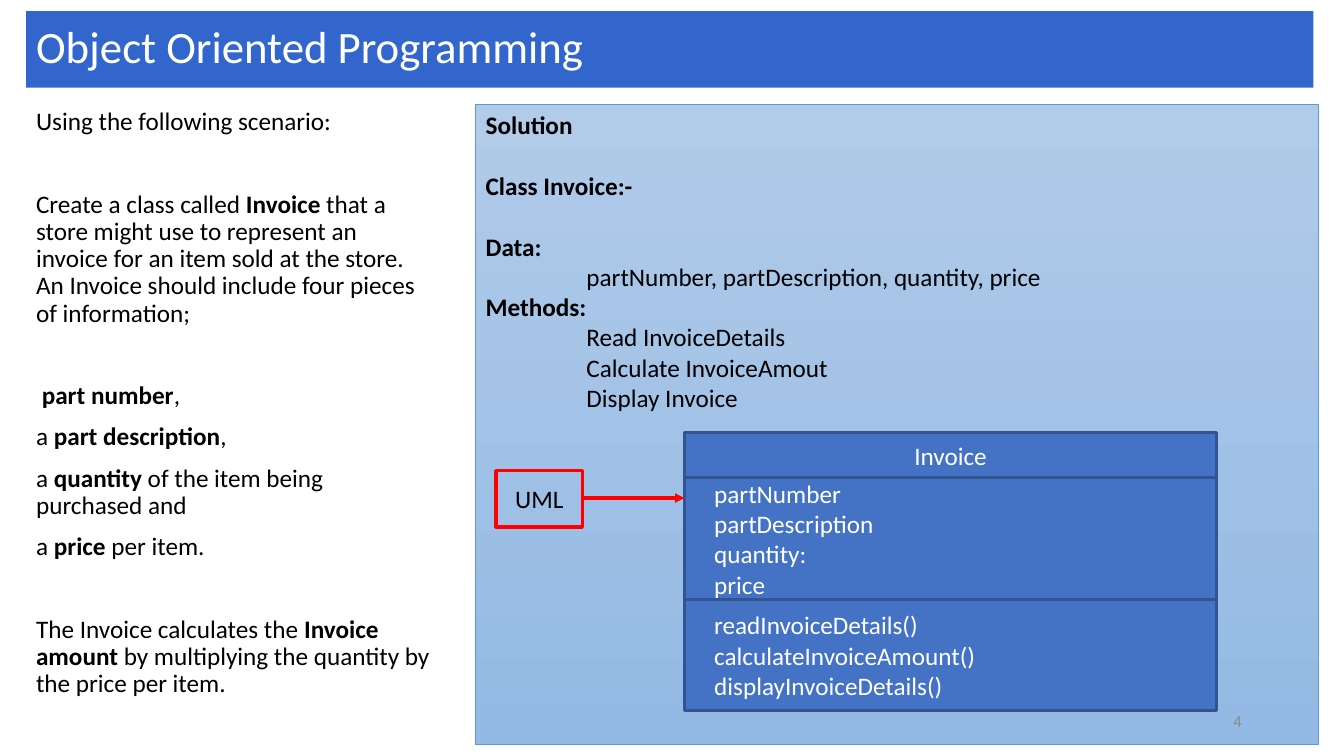
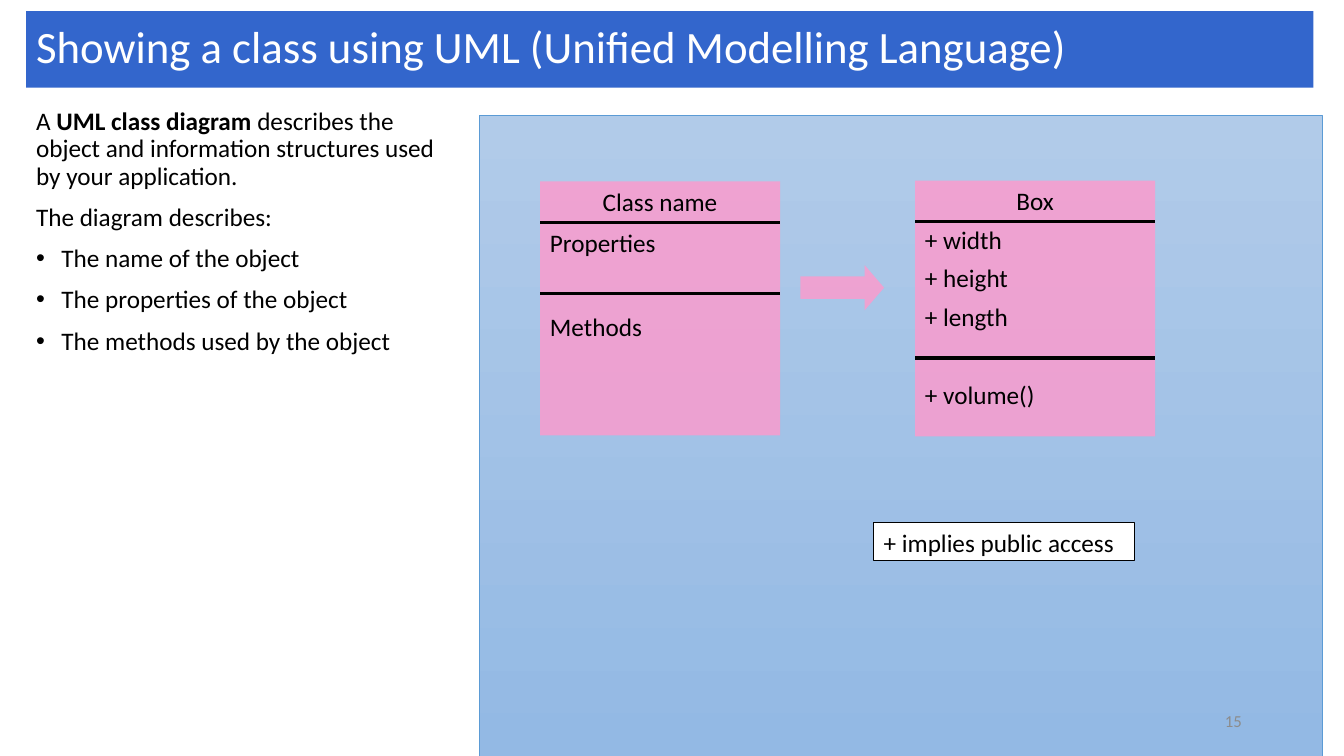
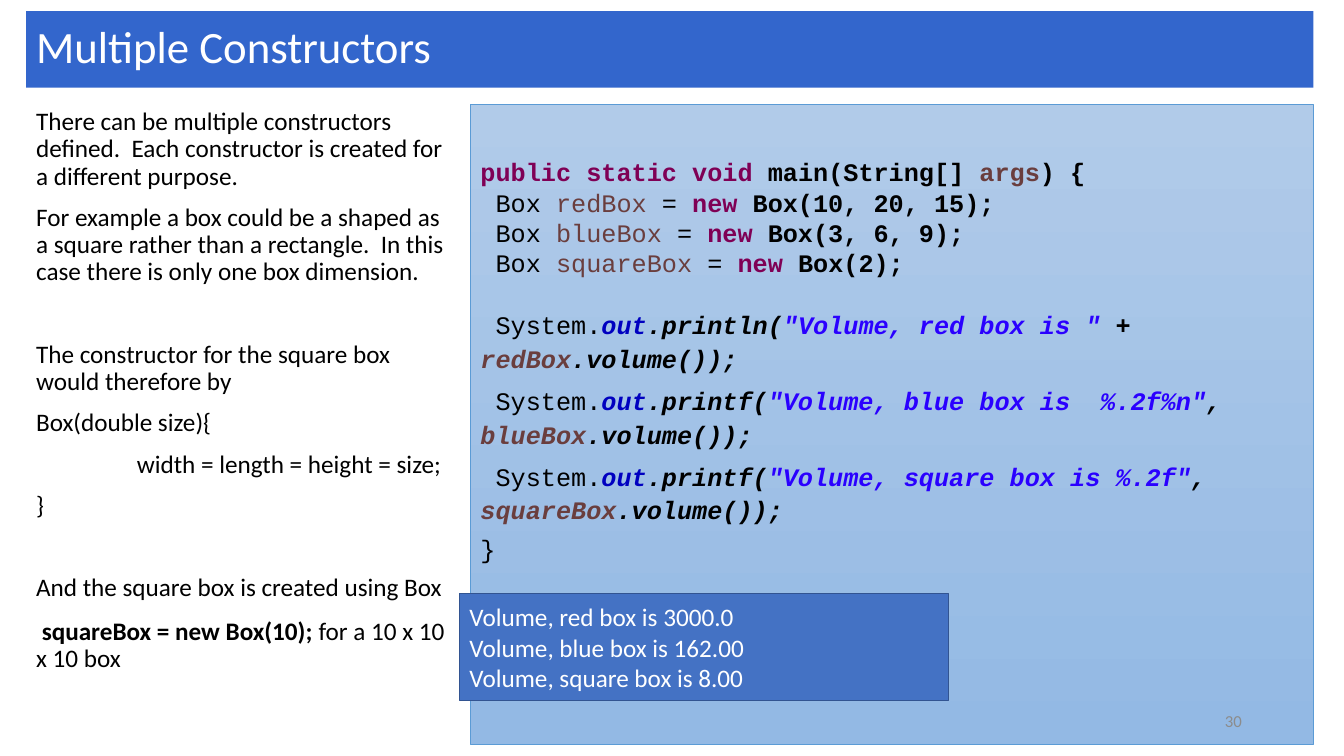
from dataclasses import dataclass, field
from typing import Any, NamedTuple

from lxml import etree
from pptx import Presentation
from pptx.dml.color import RGBColor
from pptx.enum import shapes, text
from pptx.oxml import ns
from pptx.util import Cm, Pt

WHITE = RGBColor(0xFF, 0xFF, 0xFF)
BLACK = RGBColor(0x00, 0x00, 0x00)
GREY = RGBColor(0x8C, 0x8C, 0x8C)
RED = RGBColor(0xFF, 0x00, 0x00)
PINK = RGBColor(0xFF, 0x99, 0xCC)
TITLE_BLUE = RGBColor(0x33, 0x66, 0xCC)
BOX_BLUE = RGBColor(0x44, 0x72, 0xC4)
BOX_EDGE = RGBColor(0x32, 0x54, 0x91)
PANEL_TOP = RGBColor(0xB1, 0xCB, 0xE9)
PANEL_BOTTOM = RGBColor(0x93, 0xB9, 0xE4)
PANEL_EDGE = RGBColor(0x5B, 0x9B, 0xD5)
KEYWORD = RGBColor(0x7F, 0x00, 0x55)
VARIABLE = RGBColor(0x6A, 0x3E, 0x3E)
FIELD = RGBColor(0x00, 0x00, 0xC0)
LITERAL = RGBColor(0x2A, 0x00, 0xFF)

FONT = "Calibri"
CODE_FONT = "Courier New"
LEFT, CENTER, RIGHT = text.PP_ALIGN.LEFT, text.PP_ALIGN.CENTER, text.PP_ALIGN.RIGHT
TOP, MIDDLE = text.MSO_ANCHOR.TOP, text.MSO_ANCHOR.MIDDLE
RECTANGLE = shapes.MSO_SHAPE.RECTANGLE


class Frame(NamedTuple):
    """Position and size in centimetres."""
    left: float
    top: float
    width: float
    height: float


class Run(NamedTuple):
    text: str
    bold: bool = False
    italic: bool = False
    color: RGBColor | None = None
    font: str = FONT


@dataclass(frozen=True)
class Para:
    """Content is runs, or text with bold parts between double asterisks."""
    content: str | list[Run]
    format: dict[str, Any] = field(default_factory=dict)
    indent: float = 0
    bullet: bool = False


class ClassBox(NamedTuple):
    frame: Frame
    dividers: tuple[float, float]
    gap: float
    paragraphs: list[Para]


TITLE = Frame(0.66, 0.28, 32.44, 1.93)
NUMBER = Frame(23.93, 17.65, 7.62, 1.02)


def to_runs(content: str | list[Run]) -> list[Run]:
    if isinstance(content, list):
        return content
    parts = enumerate(content.split("**"))
    return [Run(part, bold=index % 2 == 1) for index, part in parts if part]


def write(shape, paragraphs: list[Para], color: RGBColor = BLACK, size: float = 18,
          anchor=TOP, **common) -> None:
    """Fill the shape with text; common holds formats of every paragraph."""
    frame = shape.text_frame
    frame.word_wrap = True
    frame.vertical_anchor = anchor
    for index, para in enumerate(paragraphs):
        paragraph = frame.add_paragraph() if index else frame.paragraphs[0]
        formats = {"alignment": LEFT, **common, **para.format}
        if index == 0:
            formats.pop("space_before", None)
        for name, value in formats.items():
            setattr(paragraph, name, value)
        properties = paragraph._p.get_or_add_pPr()
        if para.indent:
            properties.set("marL", str(Cm(para.indent)))
        if para.bullet:
            properties.set("indent", str(-Cm(para.indent)))
            etree.SubElement(properties, ns.qn("a:buFont"), typeface="Arial")
            etree.SubElement(properties, ns.qn("a:buChar"), char="•")
        for item in to_runs(para.content):
            run = paragraph.add_run()
            run.text = item.text
            font = {"name": item.font, "size": Pt(size), "bold": item.bold, "italic": item.italic}
            for name, value in font.items():
                setattr(run.font, name, value)
            run.font.color.rgb = item.color or color


def add_box(slide, frame: Frame, fill: RGBColor | None = None, edge: RGBColor | None = None,
            edge_width: float = 1, kind=RECTANGLE):
    shape = slide.shapes.add_shape(kind, *map(Cm, frame))
    shape.shadow.inherit = False
    if fill is None:
        shape.fill.background()
    else:
        shape.fill.solid()
        shape.fill.fore_color.rgb = fill
    if edge is None:
        shape.line.fill.background()
    else:
        shape.line.color.rgb = edge
        shape.line.width = Pt(edge_width)
    return shape


def add_pink(slide, frame: Frame, kind=RECTANGLE):
    shape = add_box(slide, frame, PINK, kind=kind)
    color = shape._element.spPr.find(".//" + ns.qn("a:srgbClr"))
    etree.SubElement(color, ns.qn("a:alpha"), val="80000")
    return shape


def add_line(slide, left: float, right: float, y: float, color: RGBColor = BLACK,
             arrow: bool = False) -> None:
    """Draw a horizontal line."""
    ends = map(Cm, (left, y, right, y))
    line = slide.shapes.add_connector(shapes.MSO_CONNECTOR.STRAIGHT, *ends)
    line.line.color.rgb = color
    line.line.width = Pt(2.25)
    if arrow:
        etree.SubElement(line.line._get_or_add_ln(), ns.qn("a:tailEnd"), type="triangle")
    etree.SubElement(line._element.spPr, ns.qn("a:effectLst"))


def add_base(presentation, title: str, number: int, body: list[Para], body_width: float,
             panel_left: float, panel_top: float = 2.62):
    """Add a slide with title band, body text, gradient panel and number."""
    slide = presentation.slides.add_slide(presentation.slide_layouts[6])
    write(add_box(slide, TITLE, TITLE_BLUE), [Para(title)], WHITE, 32, MIDDLE, line_spacing=0.9)
    body_box = slide.shapes.add_textbox(*map(Cm, Frame(0.66, 2.62, body_width, 15.88)))
    write(body_box, body, line_spacing=0.9, space_before=Pt(10))
    panel = add_box(slide, Frame(panel_left, panel_top, 21.23, 16.13), PANEL_TOP, PANEL_EDGE, 0.5)
    panel.fill.gradient()
    panel.fill.gradient_angle = 270
    for stop, color in zip(panel.fill.gradient_stops, (PANEL_TOP, PANEL_BOTTOM)):
        stop.color.rgb = color
    number_box = slide.shapes.add_textbox(*map(Cm, NUMBER))
    write(number_box, [Para(str(number))], GREY, 12, MIDDLE, alignment=RIGHT)
    return slide, panel


BODY_GAP = {"space_before": Pt(39.5)}
PANEL_GAP = {"space_before": Pt(22)}


def add_invoice_slide(presentation) -> None:
    body = [
        Para("Using the following scenario:"),
        Para("Create a class called **Invoice** that a store might use to represent an invoice "
             "for an item sold at the store. An Invoice should include four pieces of "
             "information;", BODY_GAP),
        Para(" **part number**,", BODY_GAP),
        Para("a **part description**,"),
        Para("a **quantity** of the item being purchased and"),
        Para("a **price** per item."),
        Para("The Invoice calculates the **Invoice amount** by multiplying the quantity by "
             "the price per item.", BODY_GAP),
    ]
    slide, panel = add_base(presentation, "Object Oriented Programming", 4, body, 10.54, 11.99)
    write(panel, [
        Para("**Solution**"),
        Para("**Class Invoice:-**", PANEL_GAP),
        Para("**Data:**", PANEL_GAP),
        Para("partNumber, partDescription, quantity, price", indent=2.54),
        Para("**Methods:**"),
        *(Para(method, indent=2.54)
          for method in ("Read InvoiceDetails", "Calculate InvoiceAmout", "Display Invoice")),
    ])

    compartments = [
        (1.14, CENTER, 0, ["Invoice"]),
        (3.07, LEFT, 0.5, ["partNumber", "partDescription", "quantity:", "price"]),
        (2.79, LEFT, 0.5,
         ["readInvoiceDetails()", "calculateInvoiceAmount()", "displayInvoiceDetails()"]),
    ]
    class_left, top = 17.25, 10.9
    for height, alignment, indent, lines in compartments:
        box = add_box(slide, Frame(class_left, top, 13.41, height), BOX_BLUE, BOX_EDGE, 2.25)
        paragraphs = [Para(line, indent=indent) for line in lines]
        write(box, paragraphs, WHITE, anchor=MIDDLE, alignment=alignment)
        top += height

    add_line(slide, 14.66, class_left, 12.55, RED, arrow=True)
    label = add_box(slide, Frame(12.5, 11.86, 2.18, 1.42), edge=RED, edge_width=2.25)
    write(label, [Para("UML")], anchor=MIDDLE, alignment=CENTER)


def add_uml_slide(presentation) -> None:
    body = [
        Para("A **UML class diagram **describes the object and information structures used "
             "by your application."),
        Para("The diagram describes:"),
        *(Para(f"The {part} the object", indent=0.64, bullet=True)
          for part in ("name of", "properties of", "methods used by")),
    ]
    slide, _ = add_base(presentation, "Showing a class using UML (Unified Modelling Language)",
                        15, body, 10.95, 12.09, 2.92)
    centered = {"alignment": CENTER}
    class_boxes = [
        ClassBox(Frame(13.61, 4.57, 6.05, 6.4), (5.61, 7.39), 8, [
            Para("Class name", centered),
            Para("Properties"),
            Para("Methods", {"space_before": Pt(30)}),
        ]),
        ClassBox(Frame(23.06, 4.55, 6.05, 6.45), (5.59, 9.02), 6, [
            Para("Box", centered),
            Para("+ width"),
            Para("+ height"),
            Para("+ length"),
            Para("+ volume()", {"space_before": Pt(28)}),
        ]),
    ]
    for frame, dividers, gap, paragraphs in class_boxes:
        write(add_pink(slide, frame), paragraphs, space_after=Pt(gap))
        for y in dividers:
            add_line(slide, frame.left, frame.left + frame.width, y)

    arrow = add_pink(slide, Frame(20.17, 6.68, 2.11, 1.14), shapes.MSO_SHAPE.RIGHT_ARROW)
    arrow.adjustments[1] = 0.43
    note = add_box(slide, Frame(22.02, 13.16, 6.58, 0.97), WHITE, BLACK, 0.75)
    write(note, [Para("+ implies public access")])


def code(content: str, color: RGBColor = BLACK, bold: bool = True, italic: bool = False) -> Run:
    return Run(content, bold, italic, color, CODE_FONT)


def new_box(name: str, sizes: str) -> Para:
    return Para([code(" Box ", bold=False), code(name, VARIABLE, bold=False),
                 code(" = ", bold=False), code("new", KEYWORD), code(f" Box({sizes});")])


def print_volume(method: str, literal: str, joint: str, name: str, before: float = 0) -> Para:
    styled = [("out", FIELD), (f".{method}(", BLACK), (f'"{literal}"', LITERAL),
              (joint, BLACK), (name, VARIABLE), (".volume());", BLACK)]
    runs = [code(content, color, italic=True) for content, color in styled]
    return Para([code(" System.", bold=False), *runs],
                {"line_spacing": Pt(24), "space_before": Pt(before), "space_after": Pt(6)})


def add_constructors_slide(presentation) -> None:
    body = [
        Para("There can be multiple constructors defined.  Each constructor is created for "
             "a different purpose."),
        Para("For example a box could be a shaped as a square rather than a rectangle.  "
             "In this case there is only one box dimension."),
        Para("The constructor for the square box would therefore by", BODY_GAP),
        Para("Box(double size){"),
        Para("width = length = height = size;", indent=2.54),
        Para("}"),
        Para("And the square box is created using Box", BODY_GAP),
        Para(" **squareBox = new Box(10); **for a 10 x 10 x 10 box", {"space_before": Pt(12)}),
    ]
    slide, panel = add_base(presentation, "Multiple Constructors", 30, body, 10.95, 11.86)
    panel.text_frame.margin_top = Cm(1.33)
    write(panel, [
        Para([code("public static void", KEYWORD), code(" main(String[] "),
              code("args", VARIABLE), code(") {")]),
        new_box("redBox", "10, 20, 15"),
        new_box("blueBox", "3, 6, 9"),
        new_box("squareBox", "2"),
        print_volume("println", "Volume, red box is ", " + ", "redBox", before=20.4),
        print_volume("printf", "Volume, blue box is  %.2f%n", ", ", "blueBox"),
        print_volume("printf", "Volume, square box is %.2f", ", ", "squareBox"),
        Para([code("}", bold=False)]),
    ])
    output = add_box(slide, Frame(11.58, 14.96, 12.32, 2.69), BOX_BLUE, BOX_EDGE)
    volumes = {"red": "3000.0", "blue": "162.00", "square": "8.00"}
    lines = [Para(f"Volume, {name} box is {volume}") for name, volume in volumes.items()]
    write(output, lines, WHITE, anchor=MIDDLE)


def main() -> None:
    presentation = Presentation()
    presentation.slide_width, presentation.slide_height = Cm(33.87), Cm(19.05)
    add_invoice_slide(presentation)
    add_uml_slide(presentation)
    add_constructors_slide(presentation)
    presentation.save("out.pptx")


if __name__ == "__main__":
    main()
